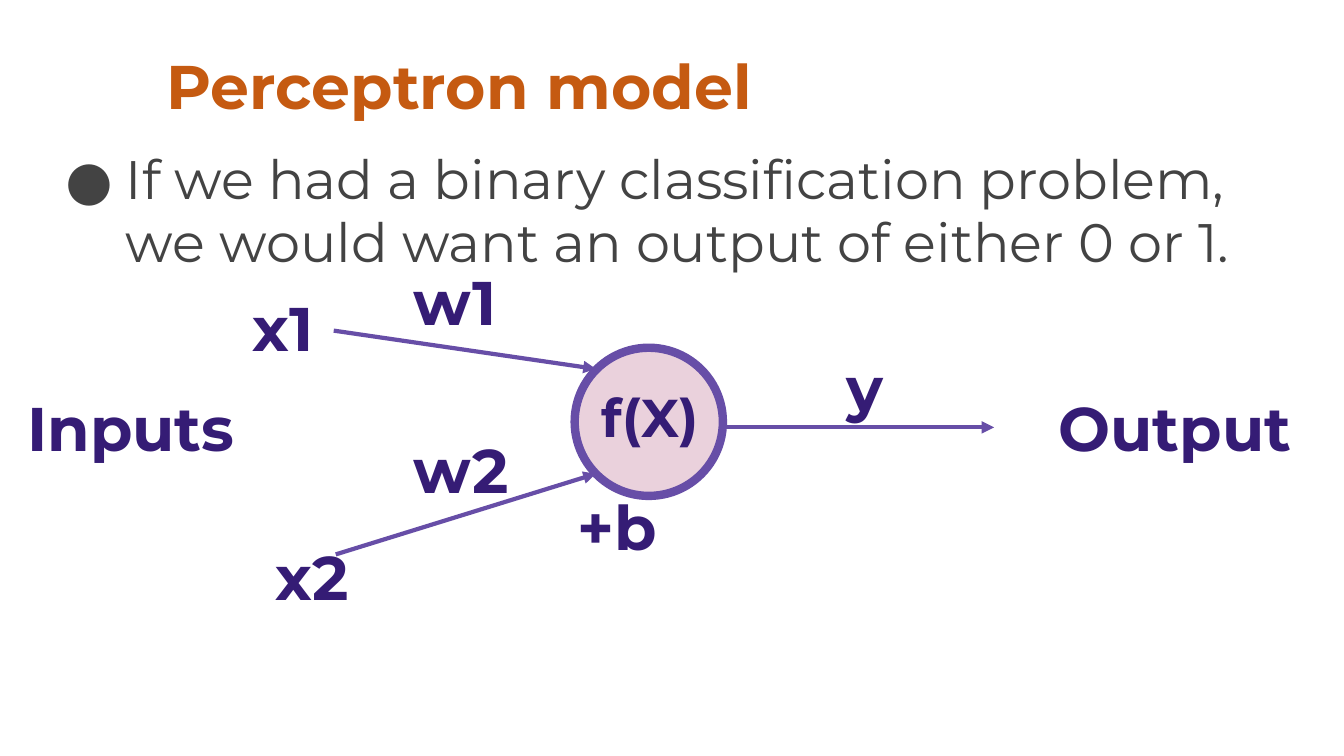
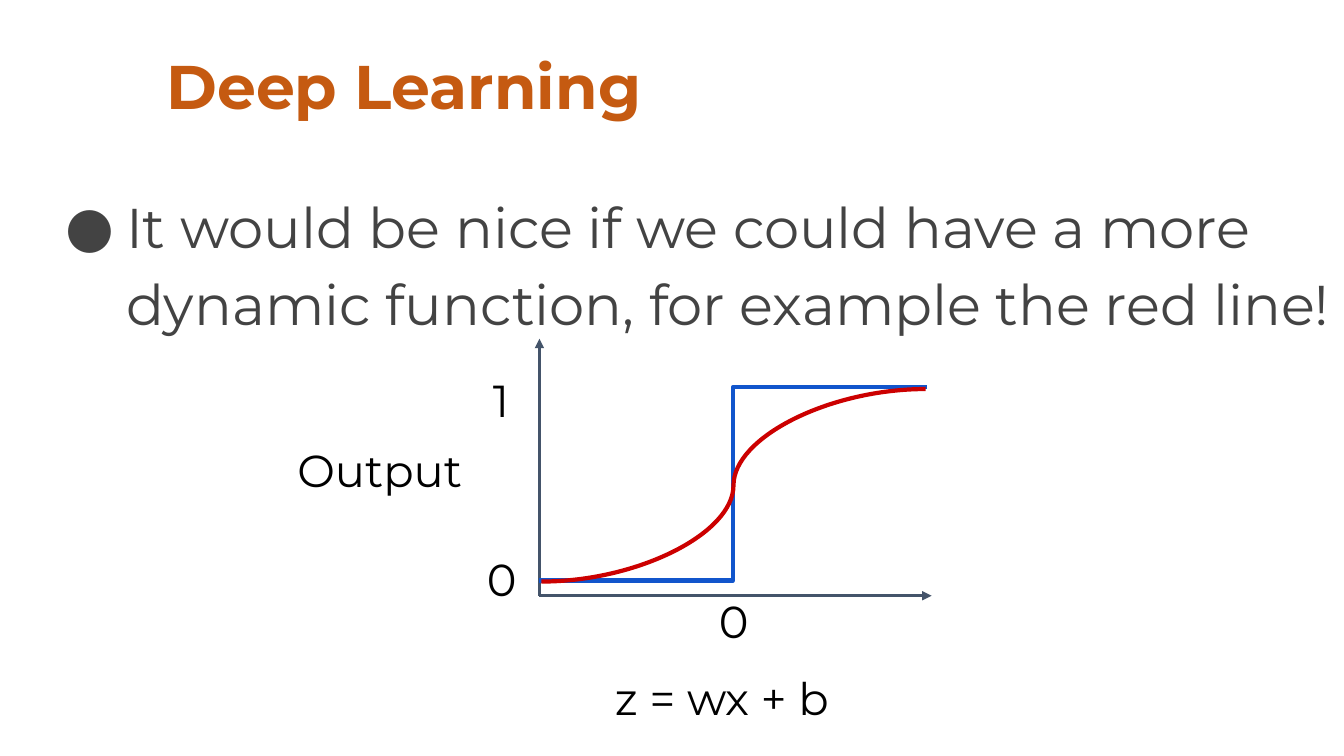
import lxml.etree
import pptx
import pptx.dml.color
import pptx.enum.shapes
import pptx.oxml.ns
import pptx.util

Inches = pptx.util.Inches
Pt = pptx.util.Pt
RGB = pptx.dml.color.RGBColor
LINK = pptx.enum.shapes.MSO_CONNECTOR
qn = pptx.oxml.ns.qn

FONT = "Montserrat"
ORANGE = RGB(0xC5, 0x5A, 0x11)
GREY = RGB(0x43, 0x43, 0x43)
INDIGO = RGB(0x35, 0x1C, 0x75)
PURPLE = RGB(0x67, 0x4E, 0xA7)
PINK = RGB(0xEA, 0xD1, 0xDC)
SLATE = RGB(0x44, 0x54, 0x6A)
BLUE = RGB(0x11, 0x55, 0xCC)
RED = RGB(0xCC, 0x00, 0x00)
BLACK = RGB(0x00, 0x00, 0x00)


def add_text(slide, text, box, size, color, bold=False, spacing=1.0):
    """Add a one-paragraph text box and return its paragraph."""
    frame = slide.shapes.add_textbox(*map(Inches, box)).text_frame
    frame.word_wrap = True
    frame.margin_left = frame.margin_right = Inches(0.13)
    frame.margin_top = frame.margin_bottom = Inches(0.13)
    frame.text = text
    para = frame.paragraphs[0]
    para.line_spacing = spacing
    font = para.runs[0].font
    font.name, font.size, font.bold = FONT, Pt(size), bold
    font.color.rgb = color
    return para


def add_head(slide, text, left, top, width, color=INDIGO, size=44):
    add_text(slide, text, (left, top, width, 0.84), size, color, True, 0.9)


def add_bullet(slide, text, box, size, spacing):
    para = add_text(slide, text, box, size, GREY, spacing=spacing)
    props = para._p.get_or_add_pPr()
    props.set("marL", str(Inches(0.67)))
    props.set("indent", str(Inches(-0.6)))
    tint = lxml.etree.SubElement(props, qn("a:buClr"))
    lxml.etree.SubElement(tint, qn("a:srgbClr"), val=str(GREY))
    lxml.etree.SubElement(props, qn("a:buFont"), typeface=FONT)
    lxml.etree.SubElement(props, qn("a:buChar"), char="●")


def add_line(slide, start, end, color, width=3, kind=LINK.STRAIGHT):
    line = slide.shapes.add_connector(kind, *map(Inches, start + end))
    line.line.color.rgb = color
    line.line.width = Pt(width)
    lxml.etree.SubElement(line._element.spPr, qn("a:effectLst"))
    return line


def add_arrow(slide, start, end, color, width=3):
    line = add_line(slide, start, end, color, width)
    stroke = line._element.spPr.find(qn("a:ln"))
    lxml.etree.SubElement(stroke, qn("a:tailEnd"), type="triangle")


def add_node(slide, left, top, size):
    oval = pptx.enum.shapes.MSO_SHAPE.OVAL
    node = slide.shapes.add_shape(oval, *map(Inches, (left, top, size, size)))
    node.shadow.inherit = False
    node.fill.solid()
    node.fill.fore_color.rgb = PINK
    node.line.color.rgb = PURPLE
    node.line.width = Pt(6)


def add_slide(deck, title):
    slide = deck.slides.add_slide(deck.slide_layouts[6])
    add_head(slide, title, 1.52, 0.43, 11.36, ORANGE)
    return slide


def draw_model(deck):
    slide = add_slide(deck, "Perceptron model")
    add_bullet(slide, "If we had a binary classification problem, "
               "we would want an output of either 0 or 1.",
               (0.45, 1.35, 12.66, 4.98), 38.7, 0.97)
    add_node(slide, 5.7, 3.45, 1.47)
    for start, end in (((3.31, 3.28), (5.91, 3.66)),
                       ((3.33, 5.5), (5.91, 4.7)),
                       ((7.16, 4.24), (9.86, 4.24))):
        add_arrow(slide, start, end, PURPLE)
    for text, left in (("Inputs", 0.14), ("Output", 10.37)):
        add_head(slide, text, left, 3.82, 3.11)
    add_head(slide, "f(X)", 5.84, 3.75, 1.24, size=38)
    for text, left, top in (("x1", 2.37, 2.83), ("x2", 2.6, 5.3),
                            ("w1", 3.97, 2.57), ("w2", 3.97, 4.24),
                            ("+b", 5.6, 4.8), ("y", 8.27, 3.42)):
        add_head(slide, text, left, top, 1.3)


def draw_curve(deck):
    slide = add_slide(deck, "Deep Learning")
    add_bullet(slide, "It would be nice if we could have a more "
               "dynamic function, for example the red line!",
               (0.45, 1.68, 12.88, 1.65), 40, 1.15)
    origin = (5.35, 5.91)
    for end in ((5.35, 3.36), (9.24, 5.91)):
        add_arrow(slide, origin, end, SLATE, 2.25)
    for text, left, top, width in (("z = wx + b", 5.97, 6.52, 2.94),
                                   ("Output", 2.82, 4.26, 1.97),
                                   ("0", 4.7, 5.34, 1.97),
                                   ("1", 4.76, 3.57, 1.97),
                                   ("0", 7, 5.76, 0.66)):
        add_text(slide, text, (left, top, width, 0.61), 32, BLACK)
    add_line(slide, (5.35, 5.76), (9.19, 3.84), BLUE, kind=LINK.ELBOW)
    add_line(slide, (5.37, 5.77), (9.18, 3.86), RED, kind=LINK.CURVE)


def main():
    deck = pptx.Presentation()
    deck.slide_width, deck.slide_height = Inches(13.33), Inches(7.5)
    draw_model(deck)
    draw_curve(deck)
    deck.save("out.pptx")


if __name__ == "__main__":
    main()
